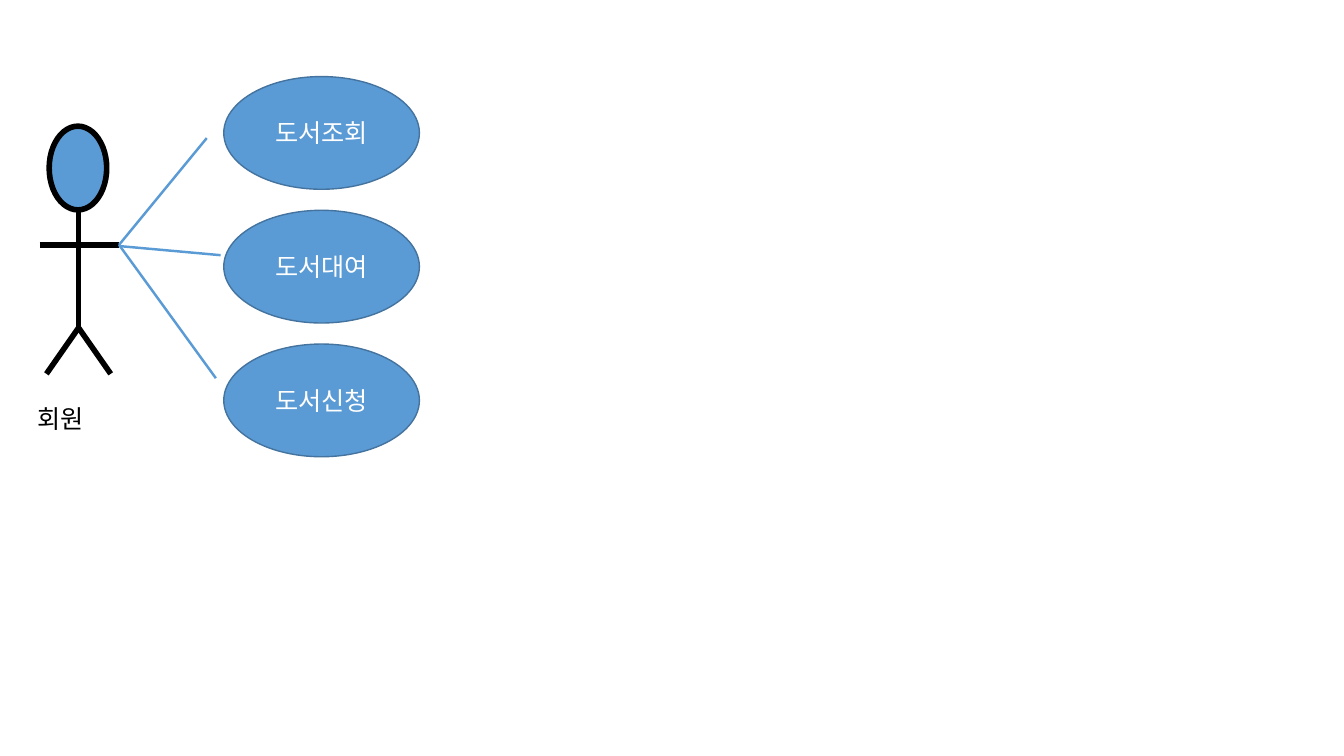
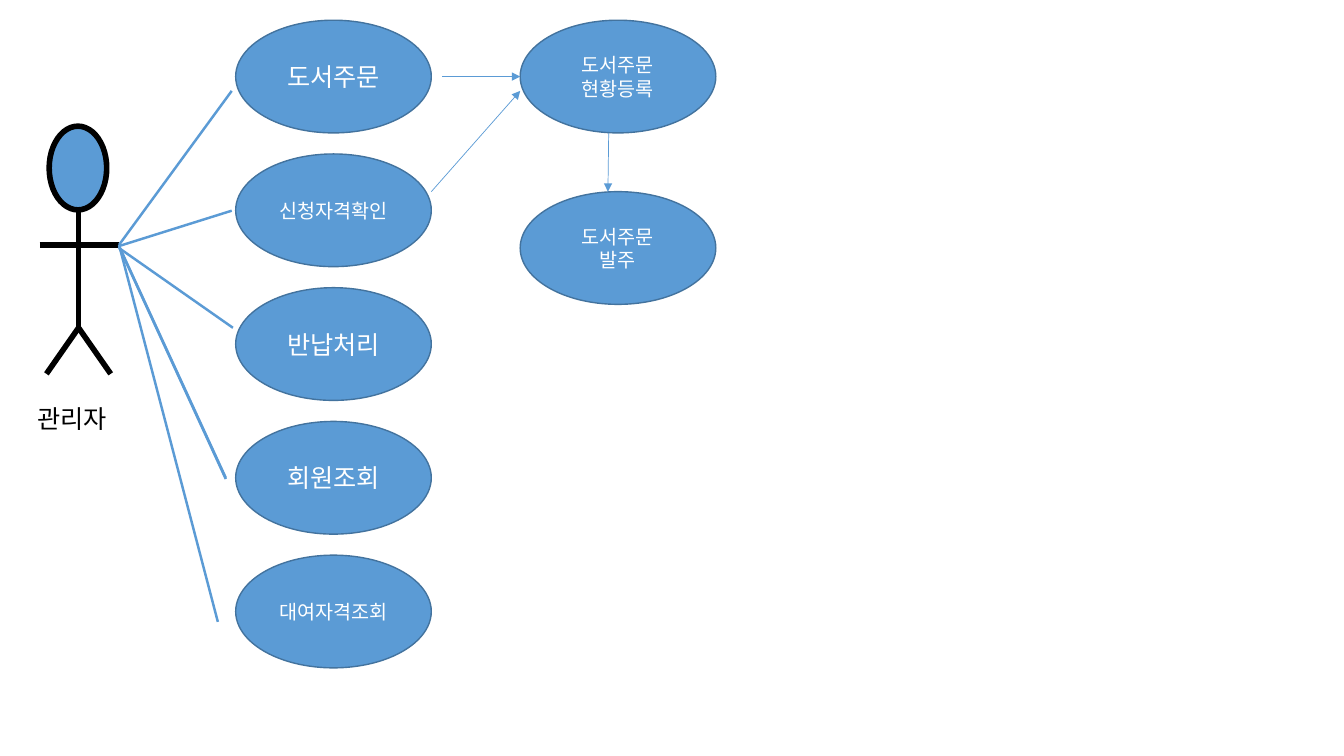
"""Two use case diagrams of a library system: member and administrator."""
from typing import NamedTuple

from lxml import etree
from pptx import Presentation
from pptx import util as u
from pptx.dml.color import RGBColor
from pptx.enum import shapes, text
from pptx.oxml import ns
from pptx.shapes import shapetree
from pptx.slide import Slide
from pptx.text.text import TextFrame

BLUE = RGBColor(0x5B, 0x9B, 0xD5)
DARK_BLUE = RGBColor(0x43, 0x73, 0x9E)
BLACK = RGBColor(0, 0, 0)
WHITE = RGBColor(0xFF, 0xFF, 0xFF)
FONT = "Noto Sans CJK KR"

# Lengths in centimetres
CASE_WIDTH, CASE_HEIGHT, CASE_PITCH = 4.93, 2.84, 3.37
BODY_X, NECK_Y, HAND_Y, HIP_Y, FOOT_Y = 1.98, 5.31, 6.17, 8.26, 9.42
HAND_X = 3.0

# Line widths in points
FIGURE_LINE, CASE_LINE, LINK_LINE, ARROW_LINE = 4, 1, 1.75, 0.5


class Line(NamedTuple):
    """A straight line between two points."""
    x1: float
    y1: float
    x2: float
    y2: float


class UseCase(NamedTuple):
    """The wording of one use case and its text size."""
    label: str
    size: int = 18


class CaseColumn(NamedTuple):
    """Use cases stacked downwards at an equal pitch."""
    left: float
    top: float
    cases: list[UseCase]
    pitch: float = CASE_PITCH


class Diagram(NamedTuple):
    """One actor with the use cases, links and arrows of its slide."""
    actor: str
    label_width: float
    columns: list[CaseColumn]
    links: list[Line]
    arrows: list[Line]


FIGURE_LINES = [
    Line(1, HAND_Y, HAND_X, HAND_Y),
    Line(BODY_X, NECK_Y, BODY_X, HIP_Y),
    Line(BODY_X, HIP_Y, 1.17, FOOT_Y),
    Line(BODY_X, HIP_Y, 2.79, FOOT_Y),
]

DIAGRAMS = [
    Diagram(
        "회원", 2.31,
        [CaseColumn(5.64, 1.93, [UseCase("도서조회"), UseCase("도서대여"),
                                 UseCase("도서신청")])],
        [Line(HAND_X, HAND_Y, 5.21, 3.48),
         Line(HAND_X, 6.2, 5.56, 6.43),
         Line(HAND_X, HAND_Y, 5.44, 9.53)],
        [],
    ),
    Diagram(
        "관리자", 2.59,
        [CaseColumn(5.94, 0.51, [UseCase("도서주문"), UseCase("신청자격확인", 14),
                                 UseCase("반납처리"), UseCase("회원조회"),
                                 UseCase("대여자격조회", 14)]),
         CaseColumn(13.11, 0.51, [UseCase("도서주문\n현황등록", 14),
                                  UseCase("도서주문\n발주", 14)], 4.32)],
        [Line(HAND_X, HAND_Y, 5.84, 2.29),
         Line(HAND_X, 6.2, 5.84, 5.31),
         Line(HAND_X, HAND_Y, 5.49, 15.67),
         Line(HAND_X, 6.2, 5.69, 12.04),
         Line(HAND_X, 6.22, 5.69, 12.07),
         Line(HAND_X, 6.25, 5.87, 8.26)],
        [Line(11.15, 1.93, 13.11, 1.93),
         Line(10.87, 4.83, 13.11, 2.29),
         Line(15.34, 3.35, 15.32, 4.83)],
    ),
]


def write(frame: TextFrame, wording: str, *, size: float = 18,
          color: RGBColor = BLACK,
          align: text.PP_ALIGN = text.PP_ALIGN.LEFT) -> None:
    """Fill a text frame with one paragraph per line of wording."""
    frame.word_wrap = True
    frame.text = wording
    for para in frame.paragraphs:
        para.alignment = align
        for span in para.runs:
            span.font.name = FONT
            span.font.size = u.Pt(size)
            span.font.color.rgb = color
            east_asian = etree.SubElement(span.font._element, ns.qn("a:ea"))
            east_asian.set("typeface", FONT)


def draw_oval(parent: shapetree._BaseGroupShapes, left: float, top: float,
              width: float, height: float, *, line_color: RGBColor,
              line_width: float) -> TextFrame:
    """Draw a blue oval and return its text frame."""
    oval = parent.add_shape(shapes.MSO_SHAPE.OVAL, u.Cm(left), u.Cm(top),
                            u.Cm(width), u.Cm(height))
    oval.shadow.inherit = False
    oval.fill.solid()
    oval.fill.fore_color.rgb = BLUE
    oval.line.color.rgb = line_color
    oval.line.width = u.Pt(line_width)
    return oval.text_frame


def draw_line(parent: shapetree._BaseGroupShapes, line: Line, *,
              color: RGBColor = BLUE, width: float = LINK_LINE,
              arrow: bool = False) -> None:
    """Draw a straight line, with an arrowhead at its end if asked."""
    connector = parent.add_connector(
        shapes.MSO_CONNECTOR.STRAIGHT, *(u.Cm(length) for length in line))
    connector.line.color.rgb = color
    connector.line.width = u.Pt(width)
    if arrow:
        head = etree.SubElement(connector.line._get_or_add_ln(),
                                ns.qn("a:tailEnd"))
        head.set("type", "triangle")
    etree.SubElement(connector._element.spPr, ns.qn("a:effectLst"))


def draw_column(page: Slide, column: CaseColumn) -> None:
    """Draw the use cases of one column."""
    for row, case in enumerate(column.cases):
        frame = draw_oval(page.shapes, column.left,
                          column.top + row * column.pitch,
                          CASE_WIDTH, CASE_HEIGHT,
                          line_color=DARK_BLUE, line_width=CASE_LINE)
        frame.vertical_anchor = text.MSO_ANCHOR.MIDDLE
        write(frame, case.label, size=case.size, color=WHITE,
              align=text.PP_ALIGN.CENTER)


def draw_actor(page: Slide, name: str, label_width: float) -> None:
    """Draw the grouped stick figure and the actor's name below it."""
    figure = page.shapes.add_group_shape()
    draw_oval(figure.shapes, 1.24, 3.18, 1.45, 2.11,
              line_color=BLACK, line_width=FIGURE_LINE)
    for line in FIGURE_LINES:
        draw_line(figure.shapes, line, color=BLACK, width=FIGURE_LINE)
    box = page.shapes.add_textbox(u.Cm(0.69), u.Cm(10.03),
                                  u.Cm(label_width), u.Cm(1.02))
    write(box.text_frame, name)
    box.text_frame.auto_size = text.MSO_AUTO_SIZE.SHAPE_TO_FIT_TEXT


def draw_diagram(page: Slide, diagram: Diagram) -> None:
    """Draw one whole use case diagram."""
    for column in diagram.columns:
        draw_column(page, column)
    draw_actor(page, diagram.actor, diagram.label_width)
    for link in diagram.links:
        draw_line(page.shapes, link)
    for arrow in diagram.arrows:
        draw_line(page.shapes, arrow, width=ARROW_LINE, arrow=True)


def main() -> None:
    """Build and save the deck."""
    deck = Presentation()
    deck.slide_width, deck.slide_height = u.Cm(33.87), u.Cm(19.05)
    blank_layout = deck.slide_layouts[6]
    for diagram in DIAGRAMS:
        draw_diagram(deck.slides.add_slide(blank_layout), diagram)
    deck.save("out.pptx")


main()
